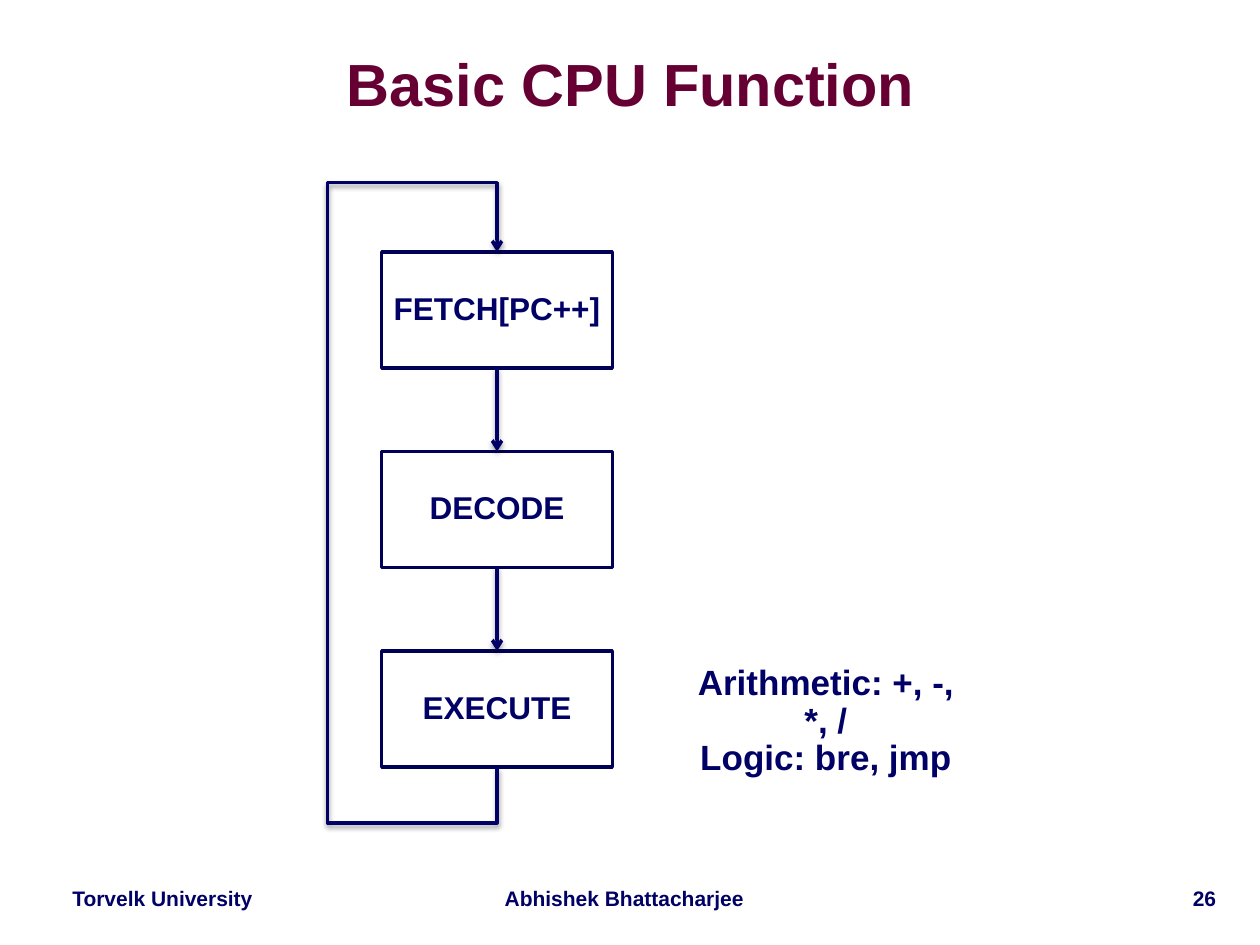
"""Build the slide on the basic CPU cycle: fetch, decode, execute and repeat."""
import pptx
import pptx.util
import pptx.dml.color
import pptx.enum.shapes
import pptx.enum.text
import pptx.oxml
import pptx.oxml.ns

Inches, Pt = pptx.util.Inches, pptx.util.Pt
ALIGN, ANCHOR = pptx.enum.text.PP_ALIGN, pptx.enum.text.MSO_ANCHOR
COLORS = {"title": "660033", "navy": "000066", "border": "000056", "box": "FFFFFF"}
rgb = pptx.dml.color.RGBColor.from_string
NAMESPACE = 'xmlns:a="http://schemas.openxmlformats.org/drawingml/2006/main"'


def write(shape, text, size, color="navy", align=ALIGN.CENTER, spacing=0.9):
    frame = shape.text_frame
    frame.text = text
    for paragraph in frame.paragraphs:
        paragraph.alignment = align
        paragraph.line_spacing = spacing
        for run in paragraph.runs:
            run.font.name, run.font.size, run.font.bold = "Arial", Pt(size), True
            run.font.color.rgb = rgb(COLORS[color])
    return frame


def style_arrow(arrow):
    arrow.line.color.rgb = rgb(COLORS["navy"])
    arrow.line.width = Pt(2)
    properties = arrow.element.spPr
    properties.find(pptx.oxml.ns.qn("a:ln")).append(
        pptx.oxml.parse_xml(f'<a:tailEnd {NAMESPACE} type="arrow"/>'))
    properties.append(pptx.oxml.parse_xml(
        f'<a:effectLst {NAMESPACE}><a:outerShdw blurRad="{Pt(3.1)}" dist="{Pt(1.6)}" '
        'dir="5400000" rotWithShape="0"><a:srgbClr val="000000"><a:alpha val="38000"/>'
        '</a:srgbClr></a:outerShdw></a:effectLst>'))


presentation = pptx.Presentation()
presentation.slide_width, presentation.slide_height = Inches(10), Inches(7.5)
slide = presentation.slides.add_slide(presentation.slide_layouts[5])
shapes = slide.shapes

title = shapes.title
title.left, title.top, title.width, title.height = map(Inches, (0.31, 0.27, 9.39, 0.85))
frame = write(title, "Basic CPU Function", 34, "title", spacing=0.87)
frame.auto_size = pptx.enum.text.MSO_AUTO_SIZE.NONE
frame.vertical_anchor = ANCHOR.MIDDLE
frame.margin_left = frame.margin_top = frame.margin_right = frame.margin_bottom = 0

for text, left, width, align in (
    ("Torvelk University", 0.33, 1.92, ALIGN.CENTER),
    ("Abhishek Bhattacharjee", 3.83, 2.25, ALIGN.CENTER),
    ("26", 8.17, 1.58, ALIGN.RIGHT),
):
    footer = shapes.add_textbox(Inches(left), Inches(7), Inches(width), Inches(0.28))
    write(footer, text, 12, align=align).word_wrap = True

box_left, box_top, box_width, box_height = map(Inches, (3.03, 2, 1.83, 0.92))
row_pitch = Inches(19 / 12)
steps = []
for row, text in enumerate(("FETCH[PC++]", "DECODE", "EXECUTE")):
    step = shapes.add_shape(
        pptx.enum.shapes.MSO_SHAPE.FLOWCHART_PROCESS,
        box_left, box_top + row * row_pitch, box_width, box_height)
    step.shadow.inherit = False
    step.fill.solid()
    step.fill.fore_color.rgb = rgb(COLORS["box"])
    step.line.color.rgb = rgb(COLORS["border"])
    step.line.width = Pt(2)
    frame = write(step, text, 18)
    frame.word_wrap = False
    frame.vertical_anchor = ANCHOR.MIDDLE
    steps.append(step)

for upper, lower in zip(steps, steps[1:]):
    arrow = shapes.add_connector(pptx.enum.shapes.MSO_CONNECTOR.STRAIGHT, 0, 0, 0, 0)
    arrow.begin_connect(upper, 2)
    arrow.end_connect(lower, 0)
    style_arrow(arrow)

center = box_left + box_width // 2
box_bottom = steps[-1].top + box_height
loop_left, loop_top, loop_bottom = map(Inches, (2.6, 1.45, 6.53))
builder = shapes.build_freeform(center, box_bottom)
builder.add_line_segments(
    [(center, loop_bottom), (loop_left, loop_bottom), (loop_left, loop_top),
     (center, loop_top), (center, box_top)], close=False)
loop = builder.convert_to_shape()
loop.fill.background()
style_arrow(loop)

examples = shapes.add_textbox(Inches(5.45), Inches(5.23), Inches(2.47), Inches(0.77))
frame = write(examples, "Arithmetic: +, -, *, /\nLogic: bre, jmp", 20)
frame.word_wrap = True
frame.margin_left, frame.margin_right = 0, Inches(0.26)

presentation.save("out.pptx")
